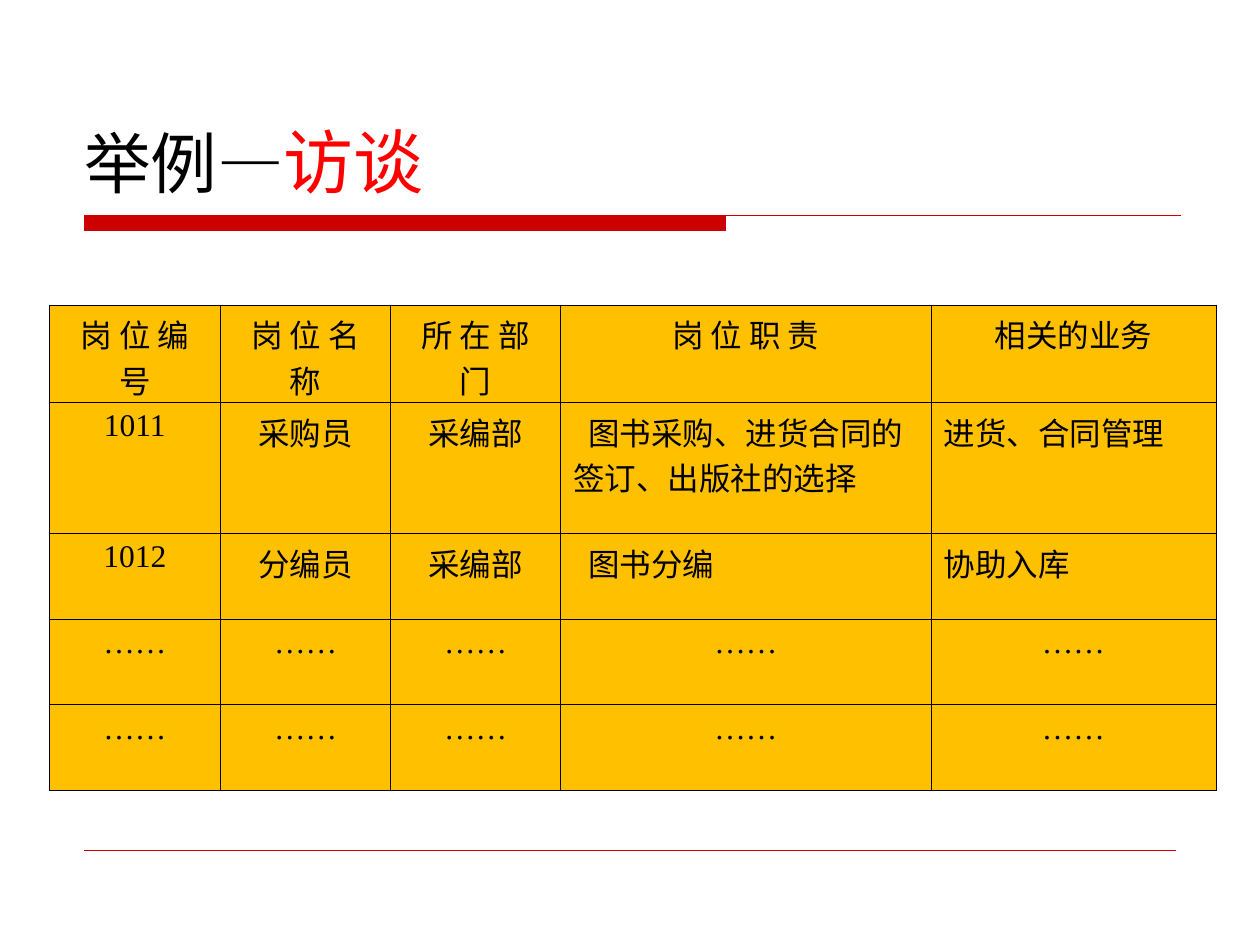
from lxml import etree
from pptx import Presentation
from pptx.dml.color import RGBColor
from pptx.enum.shapes import MSO_CONNECTOR
from pptx.enum.text import MSO_ANCHOR, PP_ALIGN
from pptx.oxml.ns import qn
from pptx.util import Inches, Pt

LEFT, CENTER = PP_ALIGN.LEFT, PP_ALIGN.CENTER
BOTTOM = MSO_ANCHOR.BOTTOM
STRAIGHT = MSO_CONNECTOR.STRAIGHT

BLACK = RGBColor(0x00, 0x00, 0x00)
RED = RGBColor(0xFF, 0x00, 0x00)
DARK_RED = RGBColor(0xCC, 0x00, 0x00)
AMBER = RGBColor(0xFF, 0xC0, 0x00)
CJK_FONT = "Noto Sans CJK SC"
LATIN_FONT = "Times New Roman"

# Content
TITLE = [("举例—", 38, BLACK), ("访谈", 40, RED)]
HEADER = ["岗 位 编 号", "岗 位 名 称", "所 在 部 门", "岗 位 职 责", "相关的业务"]
POSITIONS = [
    ["1011", "采购员", "采编部", "图书采购、进货合同的签订、出版社的选择", "进货、合同管理"],
    ["1012", "分编员", "采编部", "图书分编", "协助入库"],
]
MORE = [["……"] * len(HEADER)] * 2
ROWS = [HEADER] + POSITIONS + MORE
COLUMN_WIDTHS = [1.36, 1.35, 1.35, 2.94, 2.26]
ROW_HEIGHTS = [0.74, 1.04, 0.68, 0.68, 0.68]
DUTY_COLUMN = 3  # from here on, position rows are left aligned


def add_text(paragraph, text, *, size, color=BLACK, font=LATIN_FONT,
             align=LEFT, indent=0):
    paragraph.alignment = align
    if indent:
        paragraph._p.get_or_add_pPr().set("indent", str(Inches(indent)))
    run = paragraph.add_run()
    run.text = text
    run.font.size = Pt(size)
    run.font.name = font
    run.font.color.rgb = color
    east_asian = etree.SubElement(run._r.get_or_add_rPr(), qn("a:ea"))
    east_asian.set("typeface", CJK_FONT)


def add_borders(cell, color, width):
    properties = cell._tc.get_or_add_tcPr()
    for side in ("a:lnL", "a:lnR", "a:lnT", "a:lnB"):
        border = etree.SubElement(properties, qn(side), w=str(Pt(width)))
        fill = etree.SubElement(border, qn("a:solidFill"))
        etree.SubElement(fill, qn("a:srgbClr"), val=str(color))


presentation = Presentation()
presentation.slide_width, presentation.slide_height = Inches(10), Inches(7.5)
slide = presentation.slides.add_slide(presentation.slide_layouts[6])

# Title rule: thick bar continued by a thin line
bar_left, bar_right, rule_right = Inches(0.67), Inches(5.76), Inches(9.37)
bar_top, bar_bottom = Inches(1.71), Inches(1.83)
outline = slide.shapes.build_freeform(bar_left, bar_top)
outline.add_line_segments(
    [(bar_right, bar_top), (bar_right, bar_bottom), (bar_left, bar_bottom)])
outline.move_to(bar_left, bar_top)
outline.add_line_segments([(rule_right, bar_top)], close=False)
title_rule = outline.convert_to_shape()
title_rule.shadow.inherit = False
title_rule.fill.solid()
title_rule.fill.fore_color.rgb = DARK_RED
title_rule.line.color.rgb = DARK_RED
title_rule.line.width = Pt(0.75)

# Footer rule
footer_rule = slide.shapes.add_connector(
    STRAIGHT, Inches(0.67), Inches(6.75), Inches(9.33), Inches(6.75))
footer_rule.line.color.rgb = DARK_RED
footer_rule.line.width = Pt(0.25)
etree.SubElement(footer_rule._element.spPr, qn("a:effectLst"))

# Positions table
positions = slide.shapes.add_table(
    len(ROWS), len(HEADER), Inches(0.39), Inches(2.42),
    Inches(sum(COLUMN_WIDTHS)), Inches(sum(ROW_HEIGHTS))).table
positions.first_row = positions.horz_banding = False
for column, width in zip(positions.columns, COLUMN_WIDTHS):
    column.width = Inches(width)
for row, height in zip(positions.rows, ROW_HEIGHTS):
    row.height = Inches(height)

for r, values in enumerate(ROWS):
    for c, value in enumerate(values):
        cell = positions.cell(r, c)
        cell.margin_left = cell.margin_right = Inches(0.1)
        cell.margin_top = Inches(0.05)
        cell.margin_bottom = Inches(0 if r == 0 else 0.05)
        add_borders(cell, BLACK, 0.45)
        cell.fill.solid()
        cell.fill.fore_color.rgb = AMBER
        is_prose = values in POSITIONS and c >= DUTY_COLUMN
        add_text(cell.text_frame.paragraphs[0], value, size=18,
                 align=LEFT if is_prose else CENTER,
                 indent=0.12 if is_prose and c == DUTY_COLUMN else 0)

# Title
title = slide.shapes.add_textbox(
    Inches(0.57), Inches(0.76), Inches(8.5), Inches(0.9)).text_frame
title.word_wrap = True
title.vertical_anchor = BOTTOM
for text, size, color in TITLE:
    add_text(title.paragraphs[0], text, size=size, color=color, font=CJK_FONT)

presentation.save("out.pptx")
